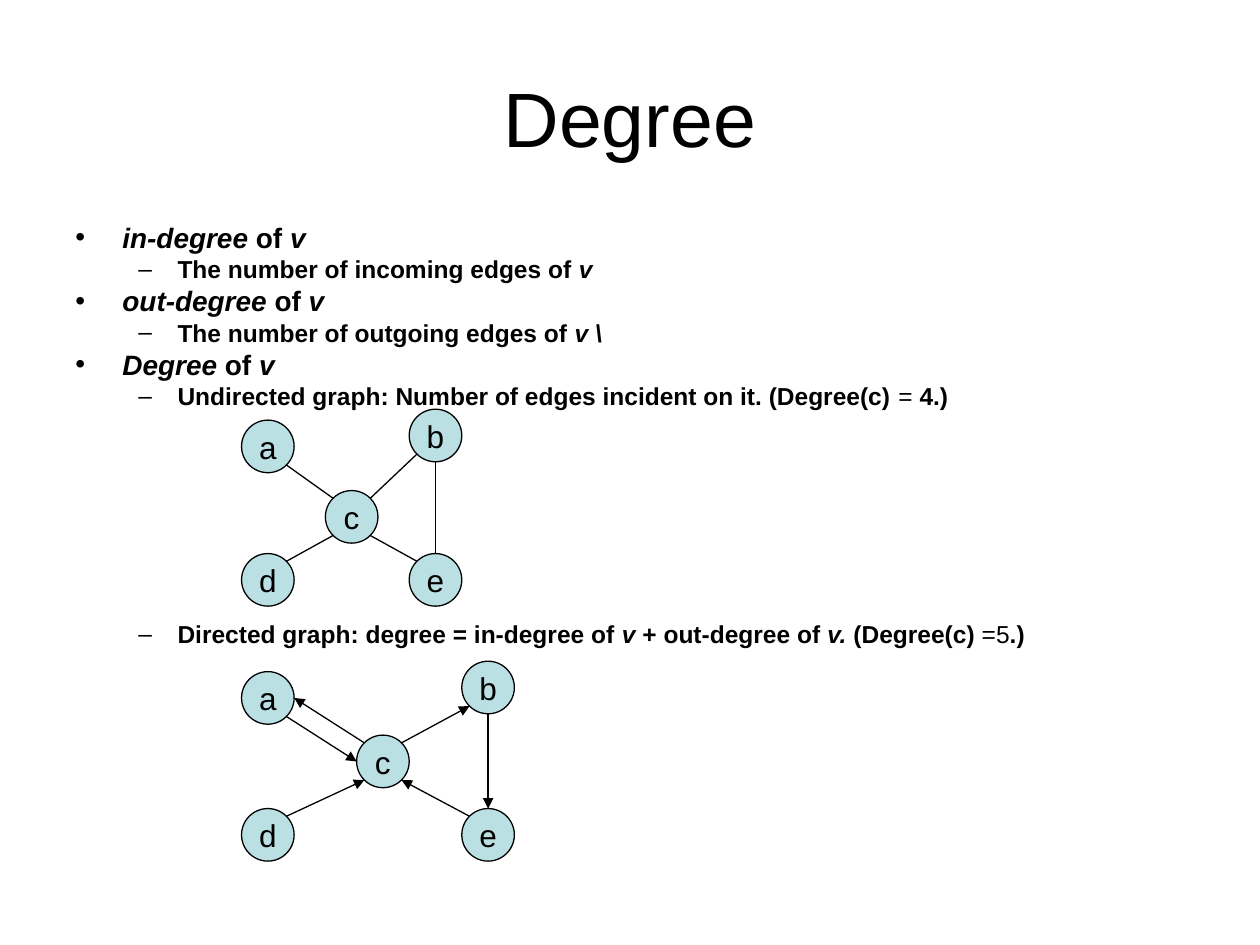
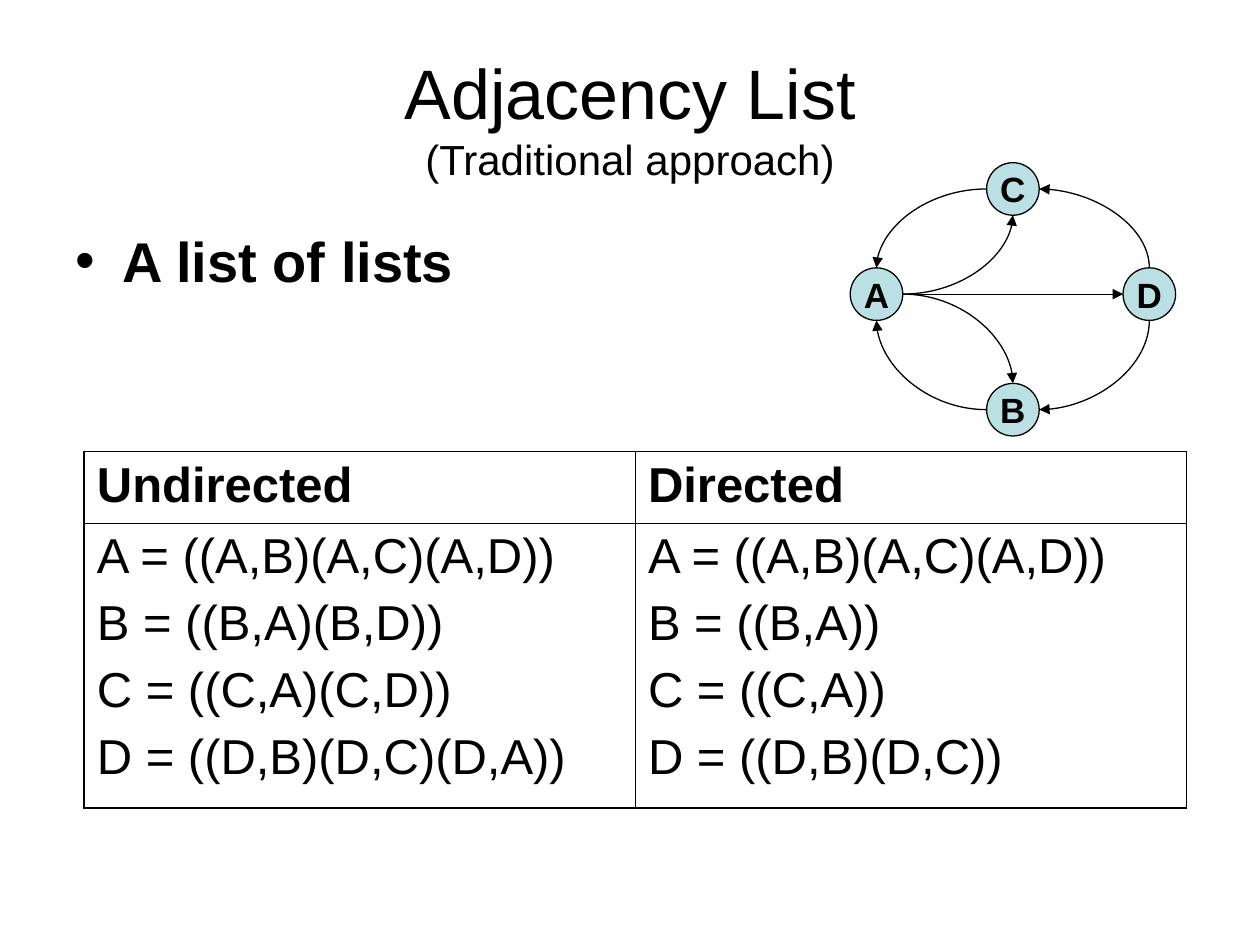
from math import cos, pi, sin

from lxml.etree import SubElement
from pptx import Presentation
from pptx.dml.color import RGBColor
from pptx.enum.shapes import MSO_CONNECTOR as CONN, MSO_SHAPE as SHAPE
from pptx.enum.text import MSO_ANCHOR as ANCHOR, PP_ALIGN as ALIGN
from pptx.oxml.ns import qn
from pptx.util import Cm, Pt

BLACK = RGBColor(0x00, 0x00, 0x00)
NODE_BLUE = RGBColor(0xBB, 0xE0, 0xE3)
FONT = "Arial"
NODE_SIZE = 1.06


def write(p, text, size=18, bold=False, italic=False):
    r = p.add_run()
    r.text = text
    r.font.name, r.font.size = FONT, Pt(size)
    r.font.bold, r.font.italic = bold, italic
    r.font.color.rgb = BLACK


def draw_graph(slide, nodes, straight="", curved="", **fmt):
    """Edges read like "a5>c2": node and site, direction, node and site.

    Sites 0 to 7 run counter-clockwise round a node from its top.
    """
    shapes = {}
    for name, (x, y) in nodes.items():
        sp = slide.shapes.add_shape(SHAPE.OVAL, Cm(x - NODE_SIZE / 2), Cm(y - NODE_SIZE / 2),
                                    Cm(NODE_SIZE), Cm(NODE_SIZE))
        sp.shadow.inherit = False
        sp.fill.solid()
        sp.fill.fore_color.rgb = NODE_BLUE
        sp.line.color.rgb = BLACK
        sp.line.width = Pt(0.75)
        tf = sp.text_frame
        tf.word_wrap = False
        tf.vertical_anchor = ANCHOR.MIDDLE
        tf.paragraphs[0].alignment = ALIGN.CENTER
        write(tf.paragraphs[0], name, **fmt)
        shapes[name] = sp

    for kind, edges in ((CONN.STRAIGHT, straight), (CONN.CURVE, curved)):
        for edge in edges.split():
            ends = []
            for name, site in (edge[:2], edge[3:]):
                x, y = nodes[name]
                angle = int(site) * pi / 4
                ends += [Cm(x - NODE_SIZE / 2 * sin(angle)), Cm(y - NODE_SIZE / 2 * cos(angle))]
            cxn = slide.shapes.add_connector(kind, *ends)
            cxn.line.color.rgb = BLACK
            cxn.line.width = Pt(0.75)
            el = cxn._element
            if kind == CONN.CURVE:
                el.spPr.find(qn("a:prstGeom")).set("prst", "curvedConnector2")
            # Glue both ends to their nodes
            for tag, (name, site) in (("a:stCxn", edge[:2]), ("a:endCxn", edge[3:])):
                SubElement(el.nvCxnSpPr.cNvCxnSpPr, qn(tag),
                           id=str(shapes[name].shape_id), idx=site)
            arrow = {">": "a:tailEnd", "<": "a:headEnd"}.get(edge[2])
            if arrow:
                SubElement(el.spPr.find(qn("a:ln")), qn(arrow), type="triangle")
            SubElement(el.spPr, qn("a:effectLst"))


prs = Presentation()
prs.slide_width, prs.slide_height = Cm(25.4), Cm(19.05)

# Text of both slides: title lines as (text, size); body paragraphs as
# (level, size, space before, runs), where a run is (text, style letters)
PAGES = [
    ([("Degree", 44)], [
        (0, 16, 0, [("in-degree ", "bi"), ("of ", "b"), ("v", "bi")]),
        (1, 14, 3.5, [("The number of incoming edges of ", "b"), ("v", "bi")]),
        (0, 16, 4, [("out-degree ", "bi"), ("of ", "b"), ("v", "bi")]),
        (1, 14, 3.5, [("The number of outgoing edges of ", "b"), ("v \\", "bi")]),
        (0, 16, 4, [("Degree ", "bi"), ("of ", "b"), ("v", "bi")]),
        (1, 14, 3.5, [("Undirected graph: Number of edges incident on it. (Degree(c) ", "b"),
                      ("= ", ""), ("4.)", "b")]),
        (1, 14, 122.5, [("Directed graph: degree = in-degree of ", "b"), ("v ", "bi"),
                        ("+ out-degree of ", "b"), ("v. ", "bi"), ("(Degree(c) ", "b"),
                        ("=5", ""), (".)", "b")]),
    ]),
    ([("Adjacency List", 40), ("(Traditional approach)", 24)], [
        (0, 32, 0, [("A list of lists", "b")]),
    ]),
]
BULLETS = [("•", 0.95, 0.95), ("–", 2.06, 0.79)]  # mark, left margin, hanging

for title, body in PAGES:
    slide = prs.slides.add_slide(prs.slide_layouts[6])

    # Title
    tf = slide.shapes.add_textbox(Cm(1.27), Cm(0.76), Cm(22.86), Cm(3.18)).text_frame
    tf.word_wrap = True
    tf.vertical_anchor = ANCHOR.MIDDLE
    for i, (text, size) in enumerate(title):
        p = tf.add_paragraph() if i else tf.paragraphs[0]
        p.alignment = ALIGN.CENTER
        write(p, text, size)

    # Bulleted body
    tf = slide.shapes.add_textbox(Cm(1.27), Cm(4.45), Cm(22.86), Cm(10.8)).text_frame
    tf.word_wrap = True
    for i, (level, size, before, runs) in enumerate(body):
        p = tf.add_paragraph() if i else tf.paragraphs[0]
        mark, margin, hanging = BULLETS[level]
        pPr = p._p.get_or_add_pPr()
        pPr.set("marL", str(Cm(margin)))
        pPr.set("indent", str(-Cm(hanging)))
        SubElement(pPr, qn("a:buFont"), typeface=FONT)
        SubElement(pPr, qn("a:buChar"), char=mark)
        p.level = level
        p.space_before = Pt(before)
        p.line_spacing = 0.8 if len(body) > 1 else 1.0
        for text, style in runs:
            write(p, text, size, "b" in style, "i" in style)

degree, adjacency = prs.slides

# Undirected and directed example graphs
draw_graph(degree, {"a": (5.4, 9), "b": (8.78, 8.78), "c": (7.09, 10.42),
                    "d": (5.4, 11.69), "e": (8.78, 11.69)},
           straight="c1-a5 c7-b3 c5-e1 c3-d7 e0-b4")
draw_graph(degree, {"a": (5.4, 14.07), "b": (9.84, 13.86), "c": (7.72, 15.35),
                    "d": (5.4, 16.83), "e": (9.84, 16.83)},
           straight="c1>a6 c7>b3 e1>c5 d7>c3 b4>e0 a5>c2")

# Table of adjacency lists
ROWS = [
    (["Undirected"], ["Directed"]),
    (["A = ((A,B)(A,C)(A,D))", "B = ((B,A)(B,D))", "C = ((C,A)(C,D))", "D = ((D,B)(D,C)(D,A))"],
     ["A = ((A,B)(A,C)(A,D))", "B = ((B,A))", "C = ((C,A))", "D = ((D,B)(D,C))"]),
]
table = adjacency.shapes.add_table(2, 2, Cm(1.7), Cm(9.1), Cm(22.22), Cm(7.19)).table
table.first_row = table.horz_banding = False
for row, height in zip(table.rows, (1.45, 5.74)):
    row.height = Cm(height)
for r, row in enumerate(ROWS):
    for c, lines in enumerate(row):
        cell = table.cell(r, c)
        tcPr = cell._tc.get_or_add_tcPr()
        for side, outer in (("L", c == 0), ("R", c == 1), ("T", r == 0), ("B", r == 1)):
            ln = SubElement(tcPr, qn(f"a:ln{side}"), w=str(Pt(1.08 if outer else 0.45)))
            SubElement(SubElement(ln, qn("a:solidFill")), qn("a:srgbClr"), val=str(BLACK))
        cell.fill.background()
        tf = cell.text_frame
        for i, line in enumerate(lines):
            p = tf.add_paragraph() if i else tf.paragraphs[0]
            p.space_before = Pt(7 if i else 0)
            write(p, line, 28, bold=r == 0)

# Graph that the table lists
draw_graph(adjacency, {"A": (17.67, 5.93), "C": (20.42, 3.81),
                       "B": (20.42, 8.26), "D": (23.17, 5.93)},
           straight="A6>D2", curved="A6>C4 C2>A0 B2>A4 A6>B0 C6<D0 B6<D4",
           size=20, bold=True)

prs.save("out.pptx")
